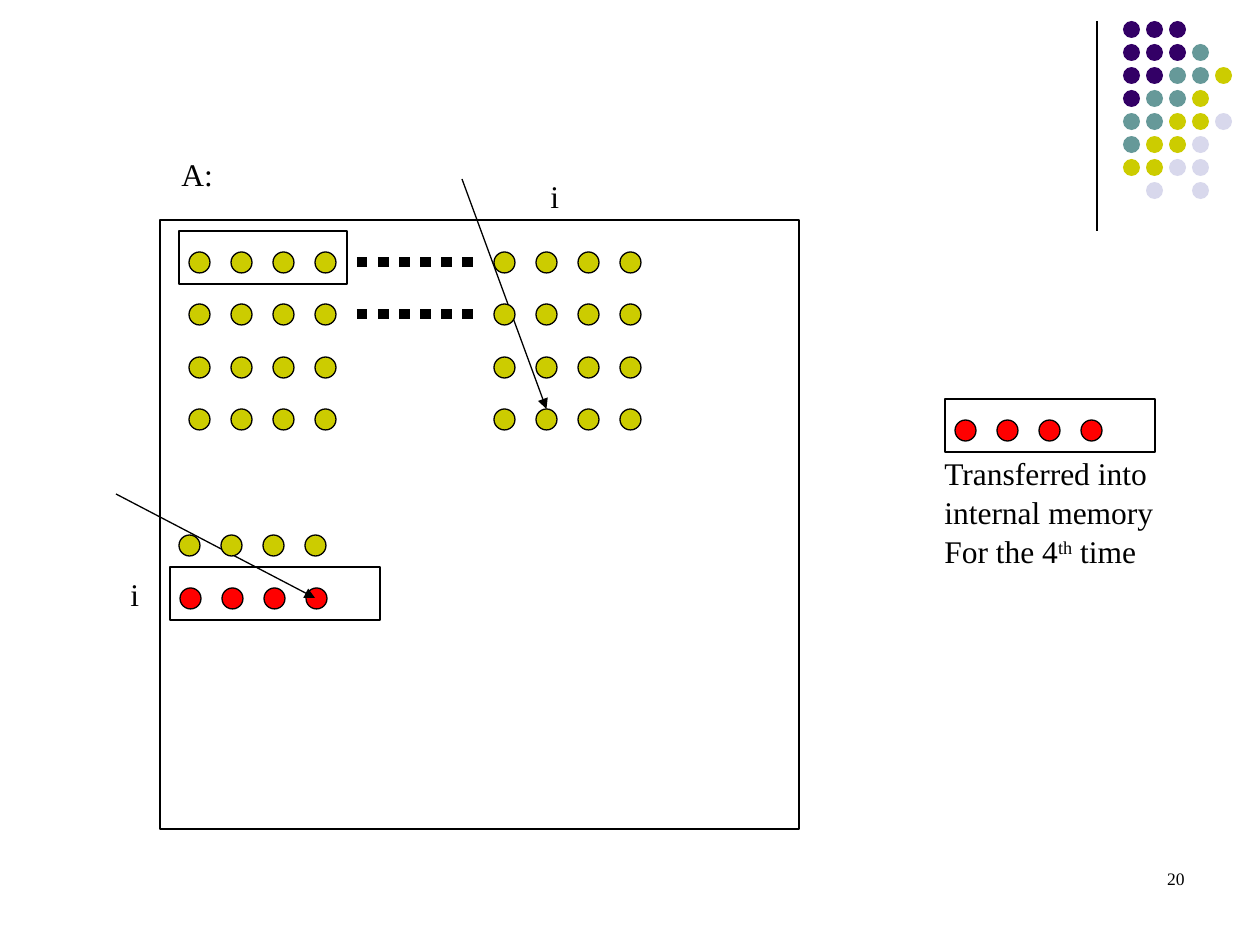
from dataclasses import dataclass

from lxml.etree import SubElement
from pptx import Presentation
from pptx.dml.color import RGBColor
from pptx.enum.dml import MSO_LINE_DASH_STYLE as DASH
from pptx.enum.shapes import MSO_CONNECTOR as CONN, MSO_SHAPE as SHAPE
from pptx.enum.text import MSO_AUTO_SIZE as AUTO, PP_ALIGN as ALIGN
from pptx.oxml.ns import qn
from pptx.util import Emu, Pt

EMU_PER_PX = 914400 / 126


def px(n):
    return Emu(round(n * EMU_PER_PX))


@dataclass(frozen=True)
class Theme:
    font: str = "Times New Roman"
    body: int = 18
    small: int = 10
    thin: float = 0.75
    thick: int = 6
    ink: str = "000000"
    purple: str = "330066"
    teal: str = "669999"
    olive: str = "CCCC00"
    lilac: str = "D8D8EC"
    red: str = "FF0000"


class Deck:
    def __init__(self, theme, width, height):
        self.theme = theme
        self.prs = Presentation()
        self.prs.slide_width, self.prs.slide_height = px(width), px(height)
        self.s = self.prs.slides.add_slide(self.prs.slide_layouts[6])

    def shape(self, kind, x, y, w, h, fill=None, outlined=True):
        sp = self.s.shapes.add_shape(kind, px(x), px(y), px(w), px(h))
        sp.shadow.inherit = False
        if fill:
            sp.fill.solid()
            sp.fill.fore_color.rgb = RGBColor.from_string(fill)
        else:
            sp.fill.background()
        if outlined:
            self.stroke(sp.line, self.theme.thin)
        else:
            sp.line.fill.background()
        return sp

    def stroke(self, line, width):
        line.width = Pt(width)
        line.color.rgb = RGBColor.from_string(self.theme.ink)

    def frame(self, x, y, w, h):
        return self.shape(SHAPE.RECTANGLE, x, y, w, h)

    def cells(self, x, y, fill):
        return [self.shape(SHAPE.OVAL, x + 42 * i, y, 21, 21, fill) for i in range(4)]

    def dots(self, x, y, rows, colors):
        for r, row in enumerate(rows):
            for c, key in enumerate(row):
                if key in colors:
                    self.shape(SHAPE.OVAL, x + 23 * c, y + 23 * r, 17, 17, colors[key], False)

    def line(self, x1, y1, x2, y2, arrow=False, dotted=False):
        cx = self.s.shapes.add_connector(CONN.STRAIGHT, px(x1), px(y1), px(x2), px(y2))
        self.stroke(cx.line, self.theme.thick if dotted else self.theme.thin)
        if dotted:
            cx.line.dash_style = DASH.ROUND_DOT
        if arrow:
            SubElement(cx.line._get_or_add_ln(), qn("a:tailEnd"), type="triangle")
        SubElement(cx._element.spPr, qn("a:effectLst"))
        return cx

    def text(self, x, y, w, h, paragraphs, size=None, align=ALIGN.LEFT, wrap=False):
        tf = self.s.shapes.add_textbox(px(x), px(y), px(w), px(h)).text_frame
        frame_format = {
            "word_wrap": wrap,
            "auto_size": AUTO.NONE if wrap else AUTO.SHAPE_TO_FIT_TEXT,
        }
        for name, value in frame_format.items():
            setattr(tf, name, value)
        font_format = {"name": self.theme.font, "size": Pt(size or self.theme.body)}
        for i, runs in enumerate(paragraphs):
            p = tf.add_paragraph() if i else tf.paragraphs[0]
            for name, value in {"alignment": align, "line_spacing": 1.04}.items():
                setattr(p, name, value)
            for content, raised in runs:
                for j, part in enumerate(content.split("\n")):
                    if j:
                        p.add_line_break()
                    r = p.add_run()
                    r.text = part
                    for name, value in font_format.items():
                        setattr(r.font, name, value)
                    r.font.color.rgb = RGBColor.from_string(self.theme.ink)
                    if raised:
                        r.font._element.set("baseline", "30000")

    def label(self, x, y, w, content):
        self.text(x, y, w, 50, [[(content, False)]])


def main():
    t = Theme()
    d = Deck(t, 1260, 945)

    d.line(1097, 21, 1097, 231)
    rows = ["PPP", "PPPT", "PPTTY", "PTTY", "TTYYL", "TYYL", "YYLL", " L L"]
    d.dots(1123, 21, rows, {"P": t.purple, "T": t.teal, "Y": t.olive, "L": t.lilac})

    d.frame(160, 220, 639, 609)
    d.frame(170, 567, 210, 53)
    d.cells(180, 588, t.red)
    d.label(118, 567, 34, "i")
    d.label(538, 169, 34, "i")
    d.label(169, 147, 57, "A:")

    d.frame(179, 231, 168, 53)
    row_tops = [252 + 105 * r // 2 for r in range(4)]
    for y in row_tops:
        d.cells(189, y, t.olive)

    target = d.cells(494, row_tops[3], t.olive)[1]
    d.line(462, 179, 546, 410, arrow=True).end_connect(target, 0)
    for y in row_tops[:3]:
        d.cells(494, y, t.olive)
    for y in row_tops[:2]:
        d.line(357, y + 10, 483, y + 10, dotted=True)

    d.line(116, 494, 315, 598, arrow=True)
    d.cells(179, 535, t.olive)

    d.text(932, 446, 237, 126, [
        [("Transferred into\ninternal memory", False)],
        [("For the 4", False), ("th", True), (" time", False)],
    ])
    d.frame(945, 399, 210, 53)
    d.cells(955, 420, t.red)
    d.text(903, 861, 294, 63, [[("20", False)]], t.small, ALIGN.RIGHT, True)

    d.prs.save("out.pptx")


if __name__ == "__main__":
    main()
